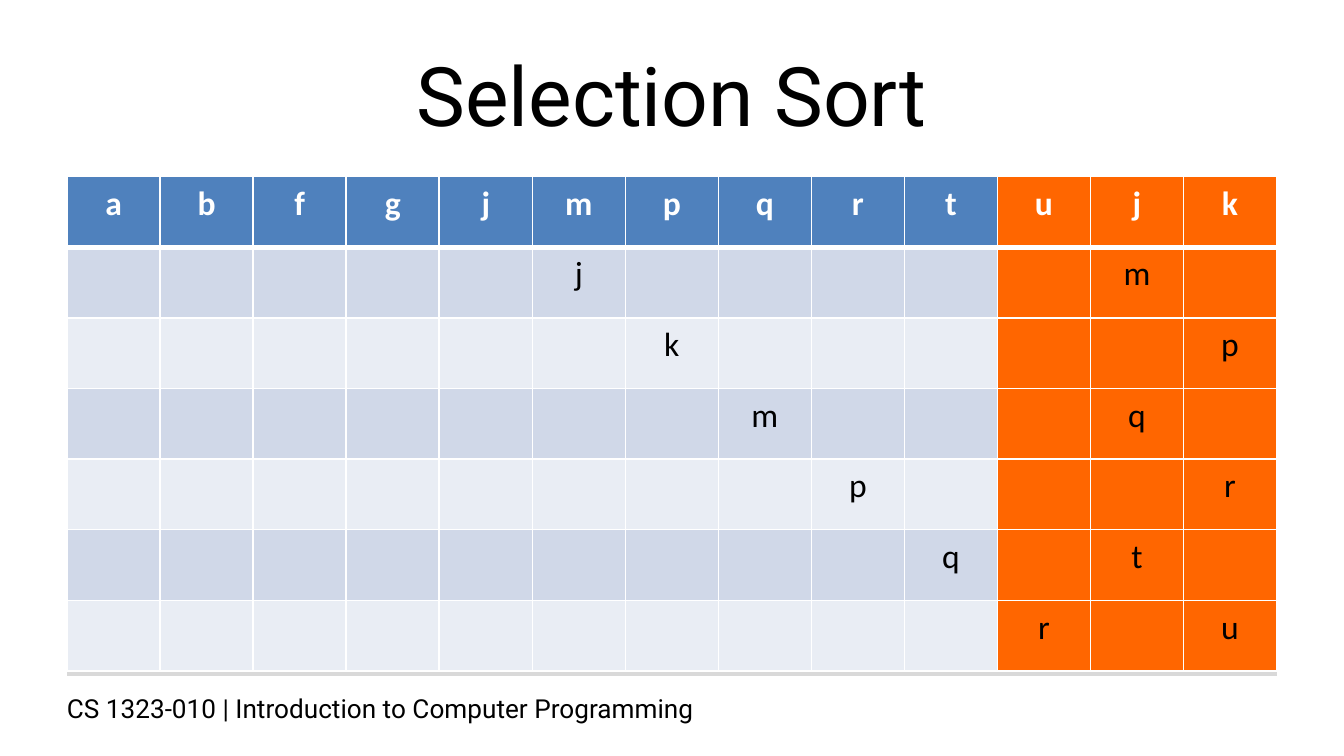
"""Build the Selection Sort slide: a table of swaps with a title and a footer."""
from lxml import etree
from pptx import Presentation, util as u
from pptx.dml.color import RGBColor
from pptx.enum import shapes, text
from pptx.oxml import ns


def paint(target, color):
    target.solid()
    target.fore_color.rgb = RGBColor.from_string(color)


def write(frame, words, size, font, color, align):
    para = frame.paragraphs[0]
    para.text = words
    para.alignment = align
    para.font.size = u.Pt(size)
    para.font.name = font
    paint(para.font.fill, color)
    return para


deck = Presentation()
deck.slide_width = u.Inches(10)
deck.slide_height = deck.slide_width * 9 // 16
page = deck.slides.add_slide(deck.slide_layouts[6])
column, row = deck.slide_width / 20, deck.slide_height / 20
left, right = int(column), int(19 * column)
CENTER, LEFT = text.PP_ALIGN.CENTER, text.PP_ALIGN.LEFT

labels = [
    ("CS 1323-010 | Introduction to Computer Programming", 0.8, 18.15, 0.75, 14, LEFT, text.MSO_ANCHOR.TOP),
    ("Selection Sort", 1, 0.8, 3.35, 44, CENTER, text.MSO_ANCHOR.MIDDLE),
]
for words, x, y, height, size, align, anchor in labels:
    box = page.shapes.add_textbox(int(x * column), int(y * row), int(18 * column), int(height * row))
    box.text_frame.word_wrap = True
    box.text_frame.vertical_anchor = anchor
    write(box.text_frame, words, size, "Roboto", "000000", align)

rule_y = int(17.84 * row)
rule = page.shapes.add_connector(shapes.MSO_CONNECTOR.STRAIGHT, left, rule_y, right, rule_y)
paint(rule.line.fill, "D9D9D9")
rule.line.width = u.Pt(2)
etree.SubElement(rule.element.spPr, ns.qn("a:effectLst"))

steps = [
    "abfgjmpqrtujk",
    "     j     m ",
    "      k     p",
    "       m   q ",
    "        p   r",
    "         q t ",
    "          r u",
]
table = page.shapes.add_table(
    len(steps), len(steps[0]), left, int(4.67 * row), right - left, int(13.09 * row)
).table
for r, step in enumerate(steps):
    band = "4F81BD" if r == 0 else ("E9EDF4", "D0D8E8")[r % 2]
    for c, letter in enumerate(step):
        cell = table.cell(r, c)
        paint(cell.fill, "FF6600" if c >= 10 else band)
        para = write(cell.text_frame, letter.strip(), 18, "Calibri", "000000" if r else "FFFFFF", CENTER)
        para.font.bold = r == 0
        properties = cell._tc.get_or_add_tcPr()
        borders = {"lnL": 1, "lnR": 1, "lnT": 3 if r == 1 else 1, "lnB": 1 if r else 3}
        for place, (side, width) in enumerate(borders.items()):
            edge = etree.Element(ns.qn(f"a:{side}"), w=str(u.Pt(width)))
            fill = etree.SubElement(edge, ns.qn("a:solidFill"))
            etree.SubElement(fill, ns.qn("a:srgbClr"), val="FFFFFF")
            properties.insert(place, edge)

deck.save("out.pptx")
